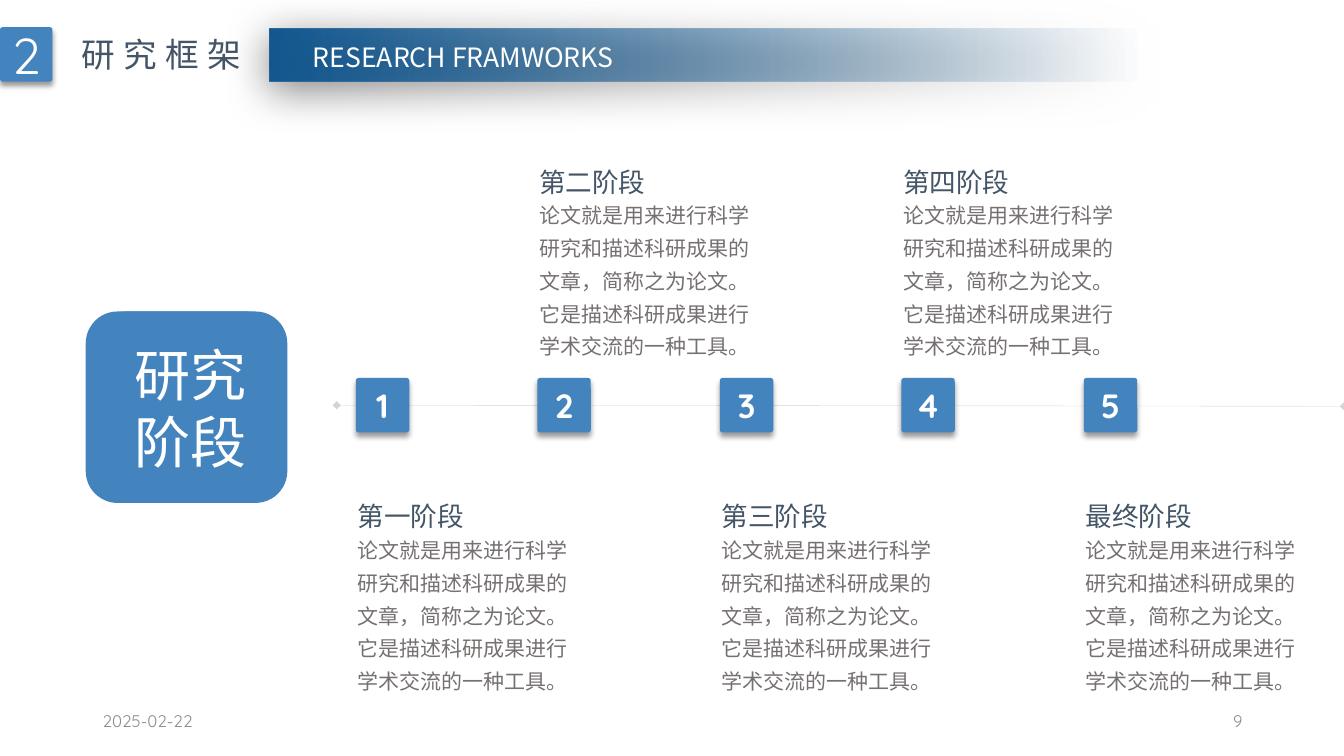
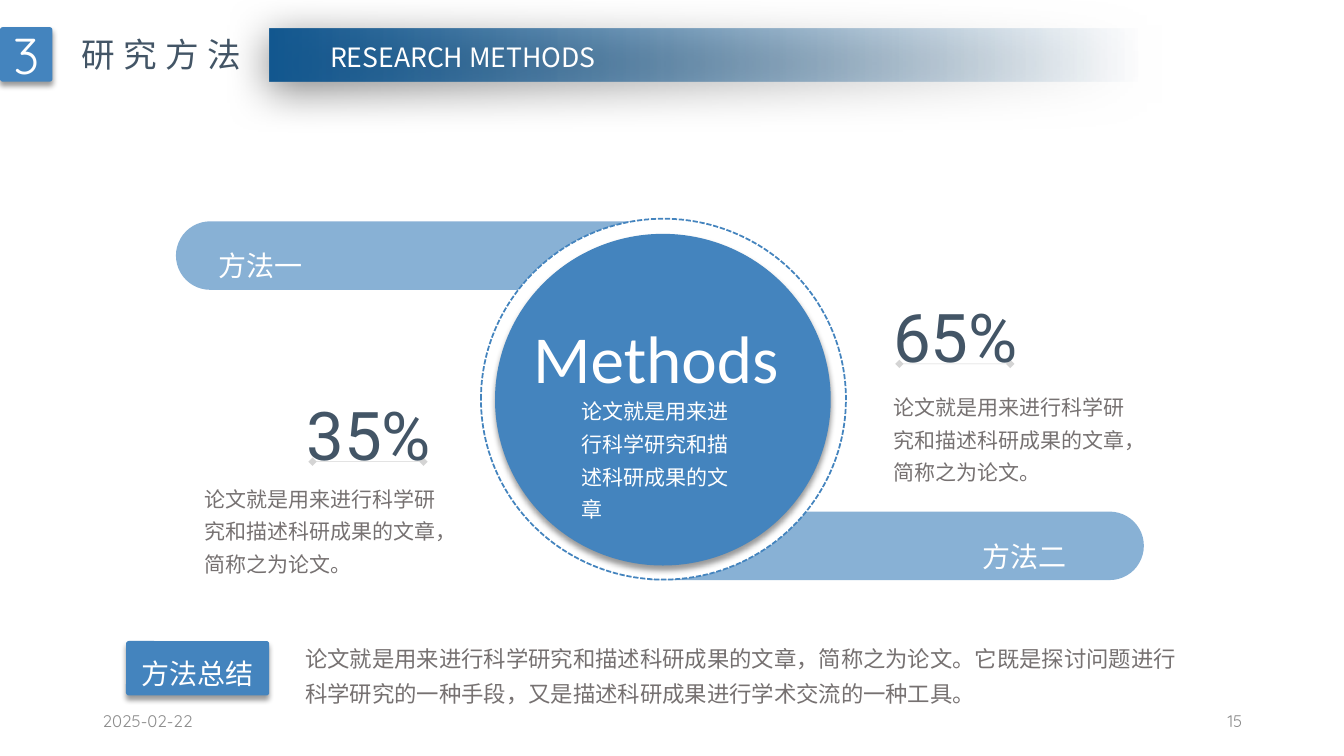
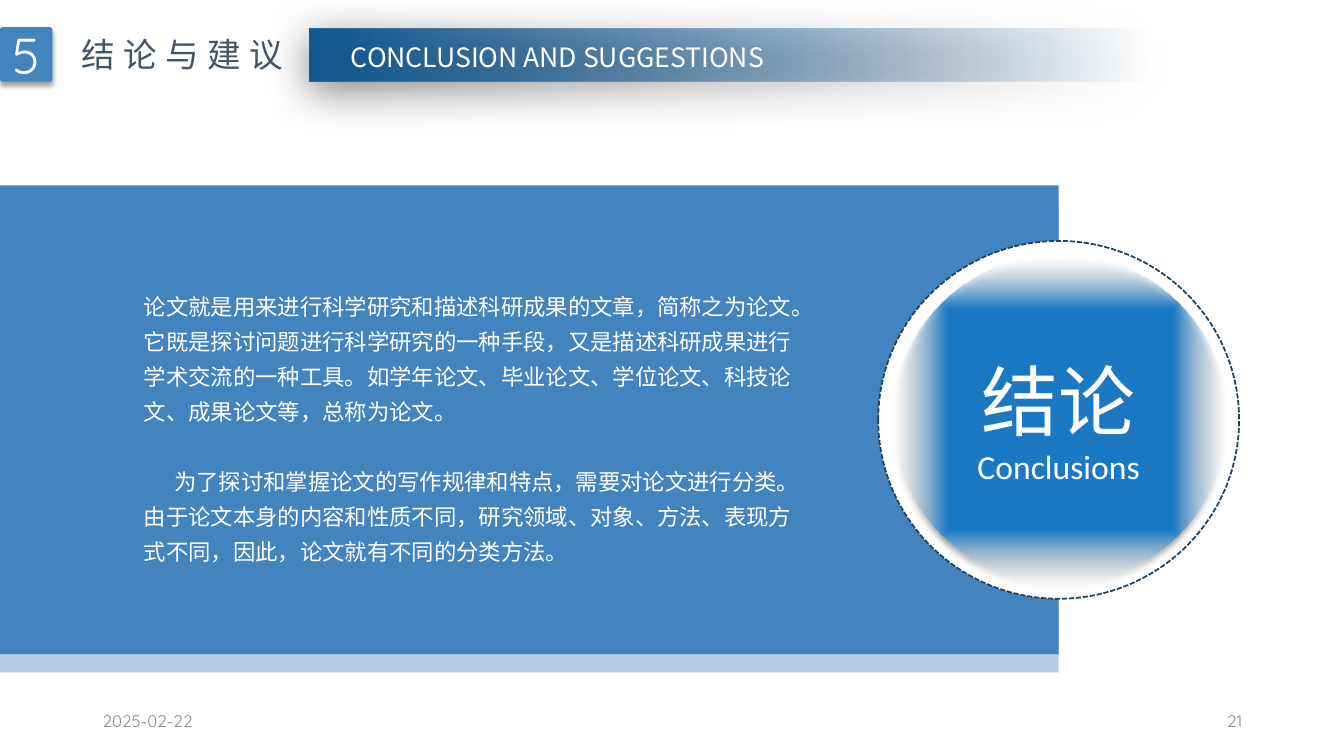
from pptx import Presentation
from pptx.dml.color import RGBColor
from pptx.enum.dml import MSO_LINE
from pptx.enum.shapes import MSO_CONNECTOR, MSO_SHAPE as SHAPE
from pptx.enum.text import MSO_ANCHOR as ANCHOR, MSO_AUTO_SIZE, PP_ALIGN as ALIGN
from pptx.oxml.ns import qn
from pptx.util import Pt
from lxml.etree import SubElement

PX = 9144  # 100 px to the inch

BLUE = RGBColor(0x44, 0x84, 0xBE)
NAVY = RGBColor(0x13, 0x58, 0x90)
BRIGHT = RGBColor(0x1B, 0x79, 0xC4)
INK = RGBColor(0x20, 0x42, 0x61)
SLATE = RGBColor(0x43, 0x55, 0x66)
GRAY = RGBColor(0x76, 0x71, 0x71)
RULE = RGBColor(0x7F, 0x7F, 0x7F)
PALE = RGBColor(0x8C, 0x8C, 0x8C)
WHITE = RGBColor(0xFF, 0xFF, 0xFF)

CJK = "Noto Sans CJK SC"
SOFT = (40, 4, 3, 90)  # shadow: opacity, blur, distance, angle
WIDE = (50, 31, 6, 97)
LOOSE = dict(line_spacing=1.3)
CENTER = dict(alignment=ALIGN.CENTER)

FOOT = dict(size=Pt(12), name="Quicksand")
BADGE = dict(size=Pt(36), name="Quicksand")
STEP = dict(size=Pt(24), name="Quicksand", bold=True)
TITLE = dict(size=Pt(24), name=CJK)
BAND = dict(size=Pt(19), name=CJK)
BODY = dict(size=Pt(15), name=CJK)
BODY_BIG = dict(size=Pt(16), name=CJK)
LABEL = dict(size=Pt(20), name=CJK)
STAGE = dict(size=Pt(40), name=CJK)
METHODS = dict(size=Pt(48), name="Calibri")
PERCENT = dict(size=Pt(48), name="Roboto")
RESULT = dict(size=Pt(55), name=CJK)


def draw(s, kind, x, y, w, h, fill=None, alphas=(), shadow=None, adj=()):
    """Add a shape, or a text box if kind is None; two (position, colour) pairs make a gradient."""
    at = [v * PX for v in (x, y, w, h)]
    if kind is None:
        return s.shapes.add_textbox(*at)
    sp = s.shapes.add_shape(kind, *at)
    for i, value in enumerate(adj):
        sp.adjustments[i] = value
    if isinstance(fill, RGBColor):
        sp.fill.solid()
        sp.fill.fore_color.rgb = fill
    else:
        sp.fill.gradient()
        for stop, (position, color) in zip(sp.fill.gradient_stops, fill):
            stop.position, stop.color.rgb = position, color
    sp.line.fill.background()
    pr = sp._element.spPr
    for color, alpha in zip(pr.findall(".//" + qn("a:srgbClr")), alphas):
        SubElement(color, qn("a:alpha"), val=str(alpha * 1000))
    sp.shadow.inherit = False
    if shadow:
        alpha, blur, dist, angle = shadow
        outer = SubElement(pr.find(qn("a:effectLst")), qn("a:outerShdw"), blurRad=str(Pt(blur)),
                           dist=str(Pt(dist)), dir=str(angle * 60000), algn="t", rotWithShape="0")
        black = SubElement(outer, qn("a:srgbClr"), val="000000")
        SubElement(black, qn("a:alpha"), val=str(alpha * 1000))
    return sp


def write(sp, lines, font, color, para=None, anchor=ANCHOR.TOP, wrap=True, spc=0):
    tf = sp.text_frame
    tf.word_wrap, tf.vertical_anchor = wrap, anchor
    if anchor == ANCHOR.TOP:
        tf.auto_size = MSO_AUTO_SIZE.SHAPE_TO_FIT_TEXT
    for i, line in enumerate(lines):
        p = tf.add_paragraph() if i else tf.paragraphs[0]
        for key, value in (para or {}).items():
            setattr(p, key, value)
        r = p.add_run()
        r.text = line
        for key, value in font.items():
            setattr(r.font, key, value)
        r.font.color.rgb = color
        pr = r._r.get_or_add_rPr()
        SubElement(pr, qn("a:ea"), typeface=font["name"])
        if spc:
            pr.set("spc", str(spc * 100))
    return tf


prs = Presentation()
prs.slide_width, prs.slide_height = 1333 * PX, 750 * PX

# Shared frame: footer, badge, title, band and thin rules
frames = [
    ("2", "研究框架", 188, "RESEARCH FRAMWORKS", 267, 290, 339, "9", [(334, 402, 1333, 403)]),
    ("3", "研究方法", 188, "RESEARCH METHODS", 267, 310, 298, "15",
     [(420, 458, 310, 458), (1002, 361, 892, 361)]),
    ("5", "结论与建议", 231, "CONCLUSION AND SUGGESTIONS", 307, 322, 462, "21", []),
]
for number, title, title_w, english, band_x, text_x, text_w, page, rules in frames:
    s = prs.slides.add_slide(prs.slide_layouts[6])
    for x, text, align in ((92, "2025-02-22", ALIGN.LEFT), (942, page, ALIGN.RIGHT)):
        write(draw(s, None, x, 695, 300, 40), [text], FOOT, PALE,
              dict(alignment=align), ANCHOR.MIDDLE)
    write(draw(s, SHAPE.ROUNDED_RECTANGLE, 0, 27, 52, 54, BLUE, shadow=SOFT, adj=[0.05]),
          [number], BADGE, WHITE, CENTER, ANCHOR.MIDDLE)
    write(draw(s, None, 71, 29, title_w, 50), [title], TITLE, SLATE, wrap=False, spc=6)
    band = draw(s, SHAPE.RECTANGLE, band_x, 28, 1333 - band_x, 53,
                [(0.19, NAVY), (1, NAVY)], [0, 100], WIDE)
    band.fill.gradient_angle = 180
    write(draw(s, None, text_x, 36, text_w, 42), [english], BAND, WHITE, CENTER, wrap=False)
    for rule in rules:
        line = s.shapes.add_connector(MSO_CONNECTOR.STRAIGHT, *[v * PX for v in rule])
        line.line.width = Pt(0.25)
        line.line.color.rgb = RULE
        pr = line._element.spPr
        SubElement(pr.find(".//" + qn("a:srgbClr")), qn("a:alpha"), val="33000")
        for end in ("a:headEnd", "a:tailEnd"):
            SubElement(pr.find(qn("a:ln")), qn(end), type="diamond")
        SubElement(pr, qn("a:effectLst"))

framework, methods, conclusion = prs.slides

# Framework: stage block and five steps, texts alternating below and above
s = framework
for x in (85, 93):
    sp = draw(s, SHAPE.ROUNDED_RECTANGLE, x, 309, 192, 190, BLUE)
write(sp, ["研究", "阶段"], STAGE, WHITE, CENTER, ANCHOR.MIDDLE)
stage_text = "论文就是用来进行科学研究和描述科研成果的文章，简称之为论文。它是描述科研成果进行学术交流的一种工具。"
for i, stage in enumerate(["第一阶段", "第二阶段", "第三阶段", "第四阶段", "最终阶段"]):
    x = 353 + i * 361 // 2
    y = 150 if i % 2 else 482
    write(draw(s, SHAPE.ROUNDED_RECTANGLE, x, 375, 53, 54, BLUE, shadow=SOFT, adj=[0.05]),
          [str(i + 1)], STEP, WHITE, CENTER, ANCHOR.MIDDLE)
    write(draw(s, None, x - 8, y + 39, 242, 173), [stage_text], BODY, GRAY, LOOSE)
    write(draw(s, None, x - 8, y, 135, 48), [stage], BAND, SLATE, LOOSE, wrap=False)

# Methods: two bars behind a ringed circle
s = methods
for x, y, angle in ((855, 296, 90), (386, 8, 270)):
    bar = draw(s, SHAPE.ROUND_2_SAME_RECTANGLE, x, y, 68, 491, BLUE, [63], adj=[0.5, 0])
    bar.rotation = angle
ring = draw(s, SHAPE.OVAL, 477, 217, 362, 358, WHITE)
draw(s, SHAPE.OVAL, 491, 232, 333, 329, BLUE, shadow=SOFT)
write(draw(s, None, 519, 285, 289, 114), ["Methods"], METHODS, WHITE, LOOSE)
write(draw(s, None, 567, 383, 177, 145), ["论文就是用来进行科学研究和描述科研成果的文章"],
      BODY, WHITE, LOOSE)

# Methods: bar labels, shares and summary
for x, y, text in ((207, 232, "方法一"), (965, 520, "方法二")):
    write(draw(s, None, x, y, 143, 54), [text], LABEL, WHITE, LOOSE)
for x, y, share, text_x, text_y in ((294, 361, "35%", 193, 470), (876, 264, "65%", 876, 379)):
    write(draw(s, None, text_x, text_y, 257, 107),
          ["论文就是用来进行科学研究和描述科研成果的文章，简称之为论文。"], BODY, GRAY, LOOSE)
    write(draw(s, None, x, y, 145, 104), [share], PERCENT, SLATE, LOOSE, wrap=False)
write(draw(s, SHAPE.ROUNDED_RECTANGLE, 125, 636, 142, 54, BLUE, shadow=SOFT, adj=[0.05]),
      ["方法总结"], LABEL, WHITE, dict(CENTER, **LOOSE), ANCHOR.MIDDLE)
write(draw(s, None, 293, 627, 901, 79),
      ["论文就是用来进行科学研究和描述科研成果的文章，简称之为论文。它既是探讨问题进行科学研究的一种手段，"
       "又是描述科研成果进行学术交流的一种工具。"], BODY_BIG, GRAY, LOOSE)

# Conclusion: panel with a pale edge, and a glowing circle
s = conclusion
draw(s, SHAPE.RECTANGLE, 0, 202, 1050, 465, BLUE, [40])
draw(s, SHAPE.RECTANGLE, 0, 184, 1050, 465, BLUE)
dark_ring = draw(s, SHAPE.OVAL, 871, 239, 358, 355, WHITE)
glow = draw(s, SHAPE.OVAL, 886, 253, 330, 326, [(0.67, BRIGHT), (1, WHITE)], [100, 0], SOFT)
grad = glow._element.spPr.find(qn("a:gradFill"))
grad.remove(grad.find(qn("a:lin")))
SubElement(SubElement(grad, qn("a:path"), path="shape"), qn("a:fillToRect"),
           l="50000", t="50000", r="50000", b="50000")
tf = write(draw(s, None, 948, 346, 204, 146), ["结论", "Conclusions"], RESULT, WHITE, CENTER)
english = tf.paragraphs[1].runs[0].font
english.size, english.name = Pt(24), "Calibri"

# Conclusion: two paragraphs
tf = write(draw(s, None, 133, 278, 667, 290),
           ["论文就是用来进行科学研究和描述科研成果的文章，简称之为论文。它既是探讨问题进行科学研究的一种手段，"
            "又是描述科研成果进行学术交流的一种工具。如学年论文、毕业论文、学位论文、科技论文、成果论文等，总称为论文。",
            "为了探讨和掌握论文的写作规律和特点，需要对论文进行分类。由于论文本身的内容和性质不同，"
            "研究领域、对象、方法、表现方式不同，因此，论文就有不同的分类方法。"],
           BODY_BIG, WHITE, LOOSE)
p = tf.paragraphs[1]
p.space_before = Pt(25)
p._p.get_or_add_pPr().set("indent", str(30 * PX))

# Dashed outlines of both rings
for sp, color in ((ring, BLUE), (dark_ring, INK)):
    sp.line.color.rgb = color
    sp.line.width = Pt(1.25)
    sp.line.dash_style = MSO_LINE.SQUARE_DOT

prs.save("out.pptx")
